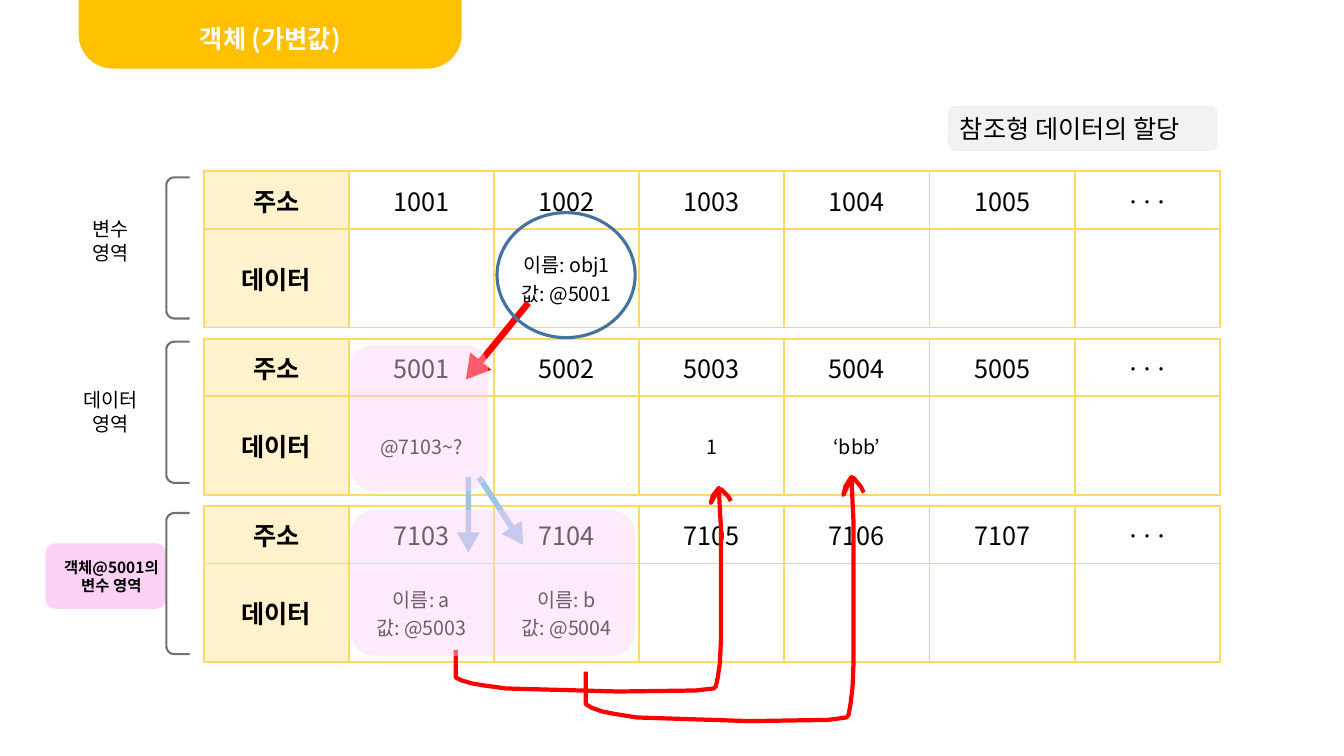
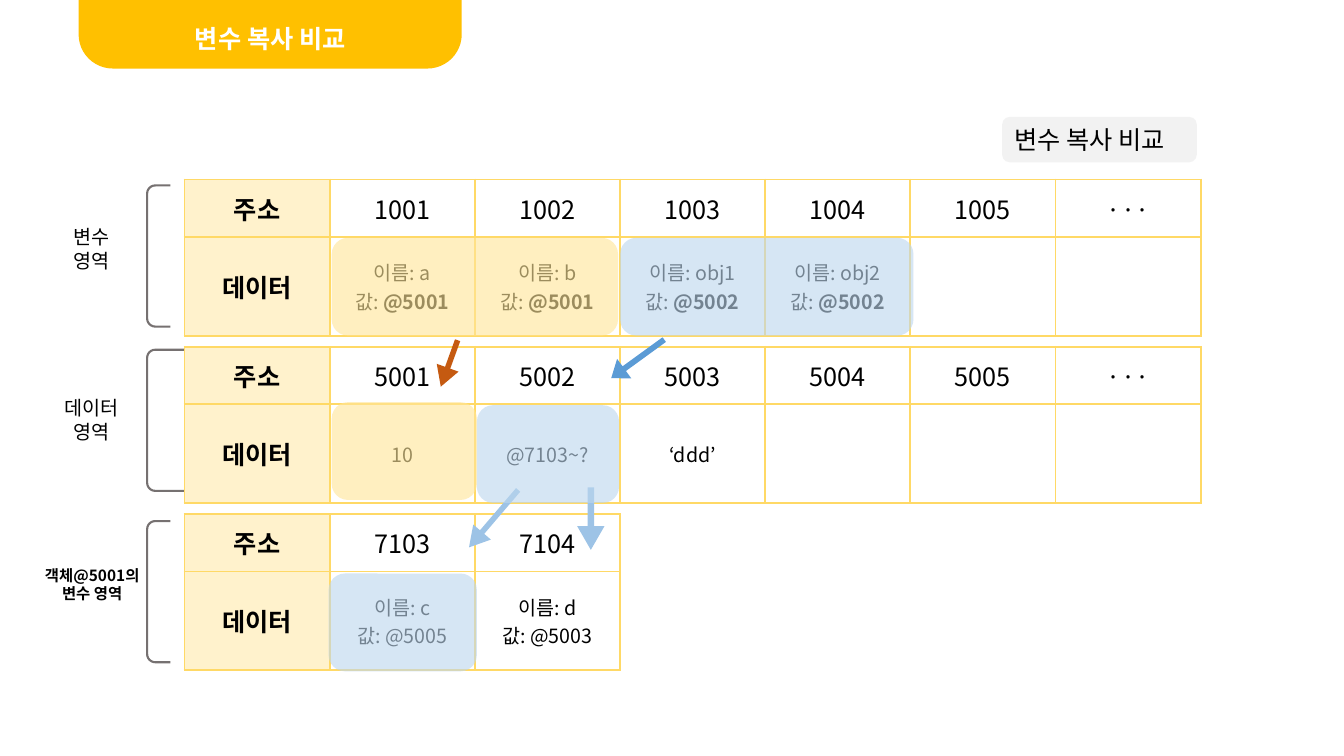
from math import cos, radians, sin

from pptx import Presentation
from pptx.dml.color import RGBColor
from pptx.enum.shapes import MSO_SHAPE
from pptx.enum.text import MSO_ANCHOR, PP_ALIGN
from pptx.oxml import parse_xml
from pptx.oxml.ns import nsdecls, qn
from pptx.util import Inches, Pt

FONT = "Noto Sans CJK KR"
BLACK, WHITE, RED = "000000", "FFFFFF", "FF0000"
AMBER, GOLD, CREAM, SAND = "FFC000", "FFD966", "FFF2CC", "FFE699"
GRAY, PALE_GRAY, PINK = "767171", "F2F2F2", "FBD1F5"
BLUE, LIGHT_BLUE, PALE_BLUE, DARK_BLUE = "5B9BD5", "9DC3E6", "BDD7EE", "43739E"
ORANGE = "C55A11"

ROUND_RECT = MSO_SHAPE.ROUNDED_RECTANGLE
BANNER = MSO_SHAPE.ROUND_2_SAME_RECTANGLE
ARROW = MSO_SHAPE.RIGHT_ARROW
ELLIPSE = MSO_SHAPE.OVAL
LEFT, CENTER = PP_ALIGN.LEFT, PP_ALIGN.CENTER
MIDDLE, BOTTOM = MSO_ANCHOR.MIDDLE, MSO_ANCHOR.BOTTOM

# Memory table grid
COLUMN_WIDTH = 1.44
ROW_HEIGHTS = (0.57, 0.98)
TABLE_PITCH = 1.66

# Region label text, size, bold, box offset from its table, box size, bracket offset
REGIONS = (
    ("변수\n영역", 14, False, (-1.22, 0.4, 0.59, 0.57), 0.06),
    ("데이터\n영역", 14, False, (-1.35, 0.44, 0.86, 0.57), 0.03),
    ("객체@5001의\n변수 영역", 11, True, (-1.53, 0.47, 1.23, 0.47), 0.07),
)

# Hand-drawn arrow, as offsets from its upper left corner
STROKE = (
    (0, 1.61), (0, 1.88), (0.06, 1.91), (0.16, 1.94), (0.28, 1.96),
    (0.5, 1.99), (0.88, 2), (1.61, 2.02), (2.38, 2.01), (2.56, 1.99),
    (2.58, 1.97), (2.6, 1.88), (2.62, 1.74), (2.63, 1.53), (2.63, 0.38),
    (2.62, 0.21), (2.61, 0), (2.55, 0.08), (2.53, 0.15), (2.59, 0.04),
    (2.63, 0.01), (2.7, 0.08), (2.73, 0.13),
)


def color(value):
    return RGBColor.from_string(value)


def set_text(frame, text, size, bold=False, ink=BLACK, align=CENTER,
             line_spacing=None, bold_reference=False):
    """Write one paragraph a line; optionally embolden from the @ sign on."""
    for index, line in enumerate(text.split("\n")):
        paragraph = frame.add_paragraph() if index else frame.paragraphs[0]
        paragraph.alignment = align
        paragraph.line_spacing = line_spacing
        font = paragraph.font
        font.size, font.bold, font.name = Pt(size), bold, FONT
        font.color.rgb = color(ink)
        defaults = paragraph._p.pPr.find(qn("a:defRPr"))
        defaults.append(parse_xml(f'<a:ea {nsdecls("a")} typeface="{FONT}"/>'))
        plain, sign, reference = line.partition("@")
        if bold_reference and sign:
            paragraph.add_run().text = plain
            run = paragraph.add_run()
            run.text = sign + reference
            run.font.bold = True
        else:
            paragraph.add_run().text = line


def add_shape(slide, kind, box, fill=None, line=None, line_width=1.5,
              alpha=None, rotation=0, adjustments=()):
    shape = slide.shapes.add_shape(kind, *map(Inches, box))
    shape.shadow.inherit = False
    shape.rotation = rotation
    for index, value in enumerate(adjustments):
        shape.adjustments[index] = value
    if fill:
        shape.fill.solid()
        shape.fill.fore_color.rgb = color(fill)
    else:
        shape.fill.background()
    if alpha:
        solid = shape._element.spPr.find(qn("a:solidFill"))
        solid[0].append(parse_xml(f'<a:alpha {nsdecls("a")} val="{alpha * 1000}"/>'))
    if line:
        shape.line.color.rgb = color(line)
        shape.line.width = Pt(line_width)
    else:
        shape.line.fill.background()
    return shape


def add_arrow(slide, box, rotation, fill, head=0.868):
    add_shape(slide, ARROW, box, fill, rotation=rotation, adjustments=(0.238, head))


def add_highlight(slide, box, fill, alpha):
    add_shape(slide, ROUND_RECT, box, fill, alpha=alpha)


def add_path(slide, points, line, width):
    """Draw an open outline through points given in inches."""
    points = [(Inches(x), Inches(y)) for x, y in points]
    builder = slide.shapes.build_freeform(*points[0])
    builder.add_line_segments(points[1:], close=False)
    path = builder.convert_to_shape()
    path.shadow.inherit = False
    path.fill.background()
    path.line.color.rgb = color(line)
    path.line.width = Pt(width)


def add_stroke(slide, left, top, stretch_x=1, stretch_y=1):
    points = [(left + x * stretch_x, top + y * stretch_y) for x, y in STROKE]
    add_path(slide, points, RED, 3)


def add_bracket(slide, left, top, width, height=1.4, radius=0.08):
    right, bottom = left + width, top + height
    points = [(right, top)]
    for center_y, start in ((top + radius, 270), (bottom - radius, 180)):
        for step in range(7):
            angle = radians(start - 15 * step)
            points.append((left + radius + radius * cos(angle),
                           center_y + radius * sin(angle)))
    points.append((right, bottom))
    add_path(slide, points, GRAY, 1.5)


def format_cell(cell, text, size, bold, fill, bold_reference):
    properties = cell._tc.get_or_add_tcPr()
    for side in ("lnL", "lnR", "lnT", "lnB"):
        properties.append(parse_xml(
            f'<a:{side} {nsdecls("a")} w="{Pt(1.5)}"><a:solidFill>'
            f'<a:srgbClr val="{GOLD}"/></a:solidFill></a:{side}>'))
    if fill:
        cell.fill.solid()
        cell.fill.fore_color.rgb = color(fill)
    else:
        cell.fill.background()
    cell.vertical_anchor = MIDDLE
    if text:
        set_text(cell.text_frame, text, size, bold, bold_reference=bold_reference)


def add_memory_table(slide, left, top, addresses, data, bold_reference):
    rows = (["주소", *addresses], ["데이터", *data])
    count = len(rows[0])
    frame = slide.shapes.add_table(
        2, count, Inches(left), Inches(top),
        Inches(COLUMN_WIDTH * count), Inches(sum(ROW_HEIGHTS)))
    table = frame.table
    table.first_row = table.horz_banding = False
    for column in table.columns:
        column.width = Inches(COLUMN_WIDTH)
    for row_index, texts in enumerate(rows):
        table.rows[row_index].height = Inches(ROW_HEIGHTS[row_index])
        for column_index, text in enumerate(texts):
            header = column_index == 0
            size = 18 if header or row_index == 0 else 14
            format_cell(table.cell(row_index, column_index), text, size, header,
                        CREAM if header else None, bold_reference)


def add_memory(slide, left, top, contents, bracket_widths, bold_references=False):
    """Stack the three regions: label, bracket and table each."""
    for index, (region, (addresses, data)) in enumerate(zip(REGIONS, contents)):
        label, size, bold, (dx, dy, width, height), bracket_dy = region
        table_top = top + index * TABLE_PITCH
        box = (left + dx, table_top + dy, width, height)
        frame = slide.shapes.add_textbox(*map(Inches, box)).text_frame
        frame.word_wrap = False
        set_text(frame, label, size, bold, line_spacing=Pt(round(size * 1.21)))
        add_bracket(slide, left - 0.37, table_top + bracket_dy, bracket_widths[index])
        add_memory_table(slide, left, table_top, addresses, data,
                         bold_references and index == 0)


def addresses_from(first):
    return [*(str(first + step) for step in range(5)), "···"]


def add_slide(presentation, title_text):
    """Start a slide with the amber title tab."""
    slide = presentation.slides.add_slide(presentation.slide_layouts[5])
    add_shape(slide, BANNER, (0.78, 0, 3.8, 0.68), AMBER, adjustments=(0, 0.5))
    title = slide.shapes.title
    title.left, title.top, title.width, title.height = map(Inches, (0.78, 0.08, 3.8, 0.5))
    title.text_frame.vertical_anchor = BOTTOM
    set_text(title.text_frame, title_text, 18, True, WHITE)
    slide.shapes._spTree.append(title._element)
    return slide


def add_tag(slide, text, box):
    frame = add_shape(slide, ROUND_RECT, box, PALE_GRAY).text_frame
    frame.word_wrap = True
    frame.vertical_anchor = MIDDLE
    set_text(frame, text, 18, align=LEFT)


def build_object_slide(presentation):
    slide = add_slide(presentation, "객체 (가변값)")
    add_tag(slide, "참조형 데이터의 할당", (9.4, 1.05, 2.68, 0.45))
    add_shape(slide, ROUND_RECT, (0.45, 5.39, 1.2, 0.65), PINK)
    add_memory(slide, 2.02, 1.7, (
        (addresses_from(1001), ["", "이름: obj1\n값: @5001", "", "", "", ""]),
        (addresses_from(5001), ["@7103~?", "", "1", "‘bbb’", "", ""]),
        (addresses_from(7103),
         ["이름: a\n값: @5003", "이름: b\n값: @5004", "", "", "", ""]),
    ), (0.23, 0.23, 0.23))

    # References between the regions
    add_arrow(slide, (4.44, 3.25, 0.98, 0.27), 129.2, RED)
    add_arrow(slide, (4.27, 4.99, 0.75, 0.23), 90, LIGHT_BLUE)
    add_arrow(slide, (4.57, 4.95, 0.8, 0.24), 56.8, LIGHT_BLUE)
    add_highlight(slide, (3.48, 3.42, 1.36, 1.45), PINK, 44)
    add_stroke(slide, 4.52, 4.84)
    add_stroke(slide, 5.81, 4.73, 1.01, 1.2)
    add_shape(slide, ELLIPSE, (4.93, 2.11, 1.37, 1.24), line=DARK_BLUE, line_width=2.25)
    add_highlight(slide, (3.48, 5.06, 2.82, 1.45), PINK, 44)


def build_copy_slide(presentation):
    slide = add_slide(presentation, "변수 복사 비교")
    add_tag(slide, "변수 복사 비교", (9.94, 1.16, 1.93, 0.45))
    add_memory(slide, 1.83, 1.78, (
        (addresses_from(1001),
         ["이름: a\n값: @5001", "이름: b\n값: @5001",
          "이름: obj1\n값: @5002", "이름: obj2\n값: @5002", "", ""]),
        (addresses_from(5001), ["10", "@7103~?", "‘ddd’", "", "", ""]),
        (["7103", "7104"], ["이름: c\n값: @5005", "이름: d\n값: @5003"]),
    ), (0.23, 0.37, 0.23), bold_references=True)

    # References between the regions
    add_arrow(slide, (4.21, 3.49, 0.49, 0.23), 109.9, ORANGE)
    add_arrow(slide, (4.52, 5.03, 0.75, 0.23), 130.5, LIGHT_BLUE)
    add_arrow(slide, (5.55, 5.01, 0.62, 0.27), 90, LIGHT_BLUE)
    add_arrow(slide, (6, 3.44, 0.65, 0.24), 144, BLUE, head=0.663)

    # Cells that belong together
    for box, fill in (
        ((3.29, 2.36, 2.84, 0.97), SAND),
        ((3.29, 3.99, 1.44, 0.97), SAND),
        ((6.15, 2.36, 2.91, 0.97), PALE_BLUE),
        ((4.73, 4.02, 1.41, 0.97), PALE_BLUE),
        ((3.26, 5.69, 1.47, 0.97), PALE_BLUE),
    ):
        add_highlight(slide, box, fill, 61)


def main():
    presentation = Presentation()
    presentation.slide_width = Inches(13.33)
    presentation.slide_height = Inches(7.5)
    build_object_slide(presentation)
    build_copy_slide(presentation)
    presentation.save("out.pptx")


if __name__ == "__main__":
    main()
